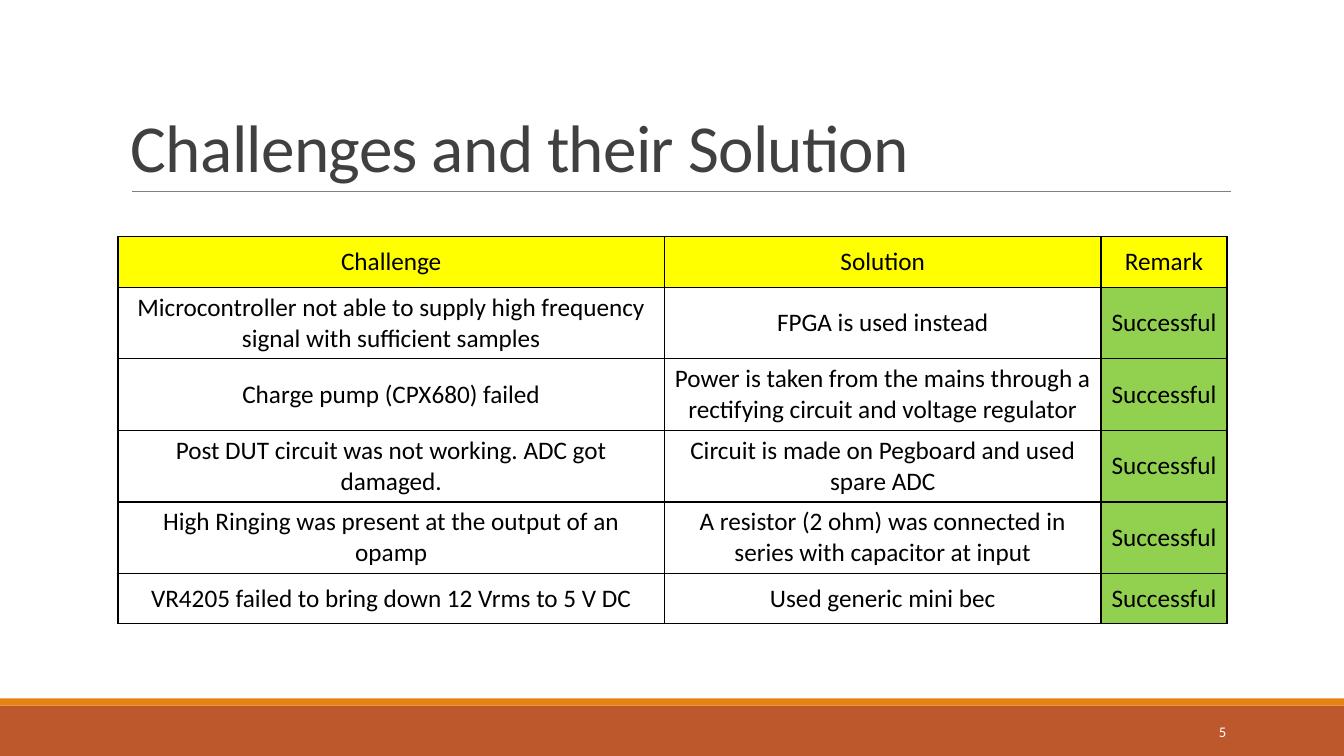
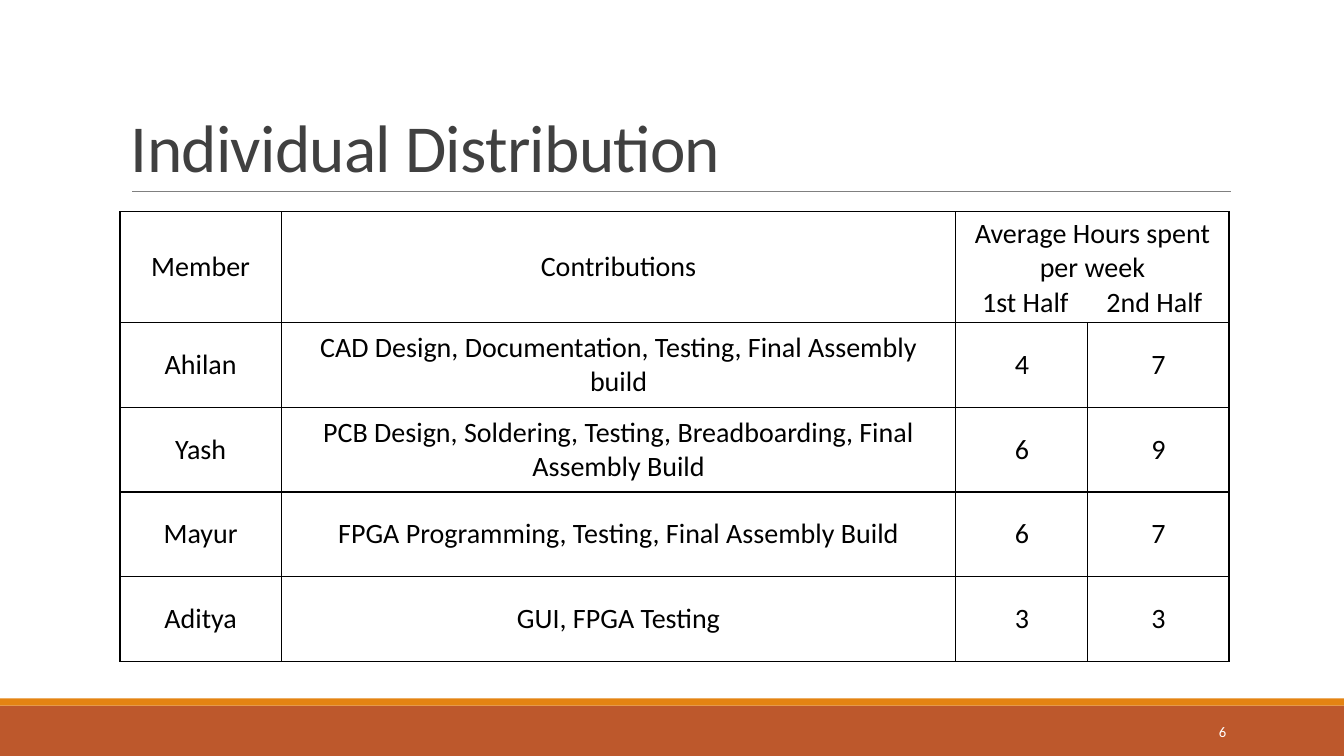
from dataclasses import dataclass

from lxml.etree import SubElement
from pptx import Presentation
from pptx.dml.color import RGBColor
from pptx.enum.shapes import MSO_CONNECTOR, MSO_SHAPE
from pptx.enum.text import MSO_ANCHOR, PP_ALIGN
from pptx.oxml.ns import qn
from pptx.util import Inches, Pt


@dataclass(frozen=True)
class Theme:
    font: str = "Calibri"
    title: str = "404040"
    text: str = "000000"
    number: str = "FFFFFF"
    rule: str = "808080"
    footer: str = "BD582C"
    stripe: str = "E48312"
    heading: str = "FFFF00"
    success: str = "92D050"
    title_size: float = 48
    number_size: float = 10.5
    rule_width: float = 0.5
    border_width: float = 1


def apply_format(target, values):
    for name, value in values.items():
        setattr(target, name, value)


class Deck:
    def __init__(self, theme):
        self.theme = theme
        self.presentation = Presentation()
        apply_format(self.presentation, {
            "slide_width": Inches(13.33), "slide_height": Inches(7.5)})
        self.slide = None

    def add_slide(self, title, number):
        theme = self.theme
        self.slide = self.presentation.slides.add_slide(
            self.presentation.slide_layouts[6])
        self.add_band(7, 0.5, theme.footer)
        self.add_band(6.93, 0.07, theme.stripe)
        self.add_rule(1.31, 12.21, 1.9)
        heading = self.add_text(
            title, (1.2, 0.31, 11, 1.59), theme.title_size, theme.title,
            MSO_ANCHOR.BOTTOM, PP_ALIGN.LEFT)
        heading.line_spacing = 0.85
        heading.runs[0]._r.get_or_add_rPr().set("spc", "-50")
        self.add_text(
            str(number), (10.83, 7.06, 1.43, 0.4), theme.number_size,
            theme.number, MSO_ANCHOR.MIDDLE, PP_ALIGN.RIGHT)

    def add_band(self, top, height, color):
        band = self.slide.shapes.add_shape(
            MSO_SHAPE.RECTANGLE, 0, Inches(top), Inches(13.33), Inches(height))
        band.shadow.inherit = False
        band.fill.solid()
        band.fill.fore_color.rgb = RGBColor.from_string(color)
        band.line.fill.background()

    def add_rule(self, left, right, y):
        rule = self.slide.shapes.add_connector(
            MSO_CONNECTOR.STRAIGHT,
            Inches(left), Inches(y), Inches(right), Inches(y))
        rule.line.color.rgb = RGBColor.from_string(self.theme.rule)
        rule.line.width = Pt(self.theme.rule_width)
        SubElement(rule._element.spPr, qn("a:effectLst"))

    def add_text(self, text, box, size, color, anchor, alignment):
        frame = self.slide.shapes.add_textbox(*map(Inches, box)).text_frame
        apply_format(frame, {"word_wrap": True, "vertical_anchor": anchor})
        paragraph = frame.paragraphs[0]
        paragraph.text = text
        self.format_paragraph(paragraph, size, color, alignment)
        return paragraph

    def format_paragraph(self, paragraph, size, color, alignment):
        paragraph.alignment = alignment
        for run in paragraph.runs:
            apply_format(run.font, {"name": self.theme.font, "size": Pt(size)})
            run.font.color.rgb = RGBColor.from_string(color)

    def add_table(self, left, top, widths, heights, rows, size):
        table = self.slide.shapes.add_table(
            len(heights), len(widths), Inches(left), Inches(top),
            Inches(sum(widths)), Inches(sum(heights))).table
        apply_format(table, {"first_row": False, "horz_banding": False})
        for column, width in zip(table.columns, widths):
            column.width = Inches(width)
        for row, height in zip(table.rows, heights):
            row.height = Inches(height)
        for row, texts in zip(table.rows, rows):
            for cell, text in zip(row.cells, texts):
                self.fill_cell(cell, text, size)
        return table

    def fill_cell(self, cell, text, size):
        cell.text = text
        cell.vertical_anchor = MSO_ANCHOR.MIDDLE
        for paragraph in cell.text_frame.paragraphs:
            self.format_paragraph(
                paragraph, size, self.theme.text, PP_ALIGN.CENTER)
        properties = cell._tc.get_or_add_tcPr()
        for side in ("lnL", "lnR", "lnT", "lnB"):
            border = SubElement(properties, qn(f"a:{side}"),
                                w=str(Pt(self.theme.border_width)))
            fill = SubElement(border, qn("a:solidFill"))
            SubElement(fill, qn("a:srgbClr"), val=self.theme.text)
        cell.fill.background()

    def color_cells(self, cells, color):
        for cell in cells:
            cell.fill.solid()
            cell.fill.fore_color.rgb = RGBColor.from_string(color)

    def set_centered_tabs(self, paragraph, positions):
        paragraph.alignment = PP_ALIGN.LEFT
        tabs = SubElement(paragraph._p.get_or_add_pPr(), qn("a:tabLst"))
        for position in positions:
            SubElement(tabs, qn("a:tab"),
                       pos=str(Inches(position)), algn="ctr")


CHALLENGES = [
    ("Microcontroller not able to supply high frequency signal with "
     "sufficient samples", "FPGA is used instead"),
    ("Charge pump (CPX680) failed",
     "Power is taken from the mains through a rectifying circuit and "
     "voltage regulator"),
    ("Post DUT circuit was not working. ADC got damaged.",
     "Circuit is made on Pegboard and used spare ADC"),
    ("High Ringing was present at the output of an opamp",
     "A resistor (2 ohm) was connected in series with capacitor at input"),
    ("VR4205 failed to bring down 12 Vrms to 5 V DC",
     "Used generic mini bec"),
]

MEMBERS = [
    ("Ahilan", "CAD Design, Documentation, Testing, Final Assembly build",
     "4", "7"),
    ("Yash", "PCB Design, Soldering, Testing, Breadboarding, Final "
     "Assembly Build", "6", "9"),
    ("Mayur", "FPGA Programming, Testing, Final Assembly Build", "6", "7"),
    ("Aditya", "GUI, FPGA Testing", "3", "3"),
]


def add_challenges(deck):
    deck.add_slide("Challenges and their Solution", 5)
    rows = [("Challenge", "Solution", "Remark")]
    rows += [(*challenge, "Successful") for challenge in CHALLENGES]
    challenges = deck.add_table(
        1.17, 2.35, [5.42, 4.33, 1.25], [0.5] + [0.71] * 4 + [0.5], rows, 18)
    deck.color_cells(challenges.rows[0].cells, deck.theme.heading)
    remarks = [challenges.cell(row, 2) for row in range(1, len(rows))]
    deck.color_cells(remarks, deck.theme.success)


def add_distribution(deck):
    deck.add_slide("Individual Distribution", 6)
    header = ("Member", "Contributions",
              "Average Hours spent per week\n\t1st Half\t2nd Half", "")
    distribution = deck.add_table(
        1.19, 2.1, [1.6, 6.69, 1.31, 1.4], [1.1] + [0.84] * 4,
        [header, *MEMBERS], 20)
    hours = distribution.cell(0, 2)
    hours.merge(distribution.cell(0, 3))
    deck.set_centered_tabs(hours.text_frame.paragraphs[1], [0.59, 1.87])


def main():
    deck = Deck(Theme())
    add_challenges(deck)
    add_distribution(deck)
    deck.presentation.save("out.pptx")


if __name__ == "__main__":
    main()
